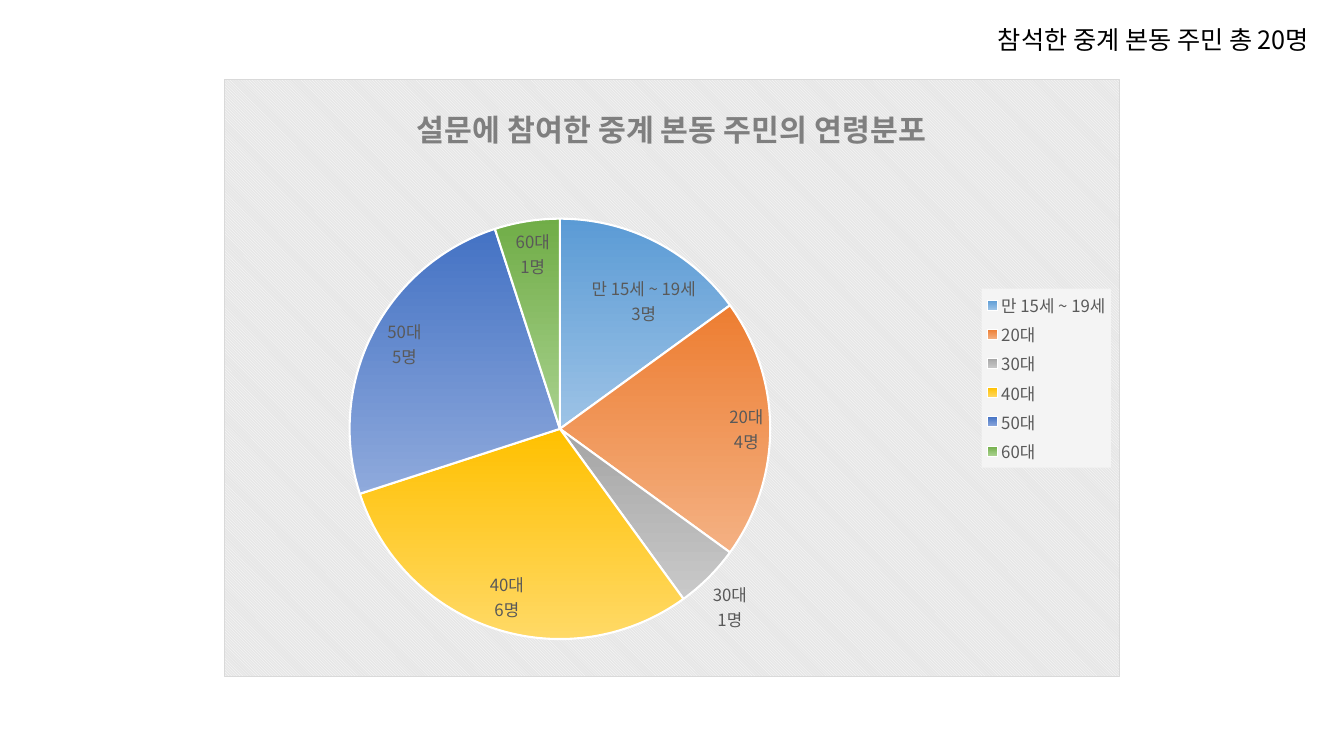
from lxml.etree import SubElement
from pptx import Presentation
from pptx.chart.data import CategoryChartData
from pptx.dml.color import RGBColor
from pptx.enum.chart import XL_CHART_TYPE, XL_LABEL_POSITION, XL_LEGEND_POSITION
from pptx.enum.text import MSO_AUTO_SIZE
from pptx.oxml import parse_xml
from pptx.oxml.ns import nsdecls, qn
from pptx.util import Cm, Pt

FONT = "Noto Sans CJK KR"
COLORS = {
    "text": "000000",
    "label": "595959",
    "title": "7F7F7F",
    "border": "D9D9D9",
    "stripe": "E6E6E6",
    "legend": "F4F4F4",
    "white": "FFFFFF",
}
AGE_GROUPS = [
    ("만 15세 ~ 19세", 3, "5B9BD5", "9DC3E6"),
    ("20대", 4, "ED7D31", "F4B183"),
    ("30대", 1, "A5A5A5", "C9C9C9"),
    ("40대", 6, "FFC000", "FFD966"),
    ("50대", 5, "4472C4", "8FAADC"),
    ("60대", 1, "70AD47", "A9D18E"),
]


def style_font(font, size, color, bold=False):
    font.size = Pt(size)
    font.bold = bold
    font.name = FONT
    font.color.rgb = RGBColor.from_string(COLORS[color])


def set_east_asian_font(element):
    for latin in list(element.iter(qn("a:latin"))):
        latin.addnext(parse_xml(f'<a:ea {nsdecls("a")} typeface="{FONT}"/>'))


def add_text(slide, text, left, top, width, height):
    box = slide.shapes.add_textbox(left, top, width, height)
    frame = box.text_frame
    frame.word_wrap = False
    frame.auto_size = MSO_AUTO_SIZE.SHAPE_TO_FIT_TEXT
    run = frame.paragraphs[0].add_run()
    run.text = text
    style_font(run.font, 18, "text")
    set_east_asian_font(box.text_frame._txBody)


def color_slices(series):
    for index, (_, _, start, end) in enumerate(AGE_GROUPS):
        slice_format = series.points[index].format
        slice_format.fill.gradient()
        slice_format.fill.gradient_angle = 270
        for stop, color in zip(slice_format.fill.gradient_stops, (start, end)):
            stop.color.rgb = RGBColor.from_string(color)
        slice_format.line.color.rgb = RGBColor.from_string(COLORS["white"])
        slice_format.line.width = Pt(1.5)


def label_slices(series):
    labels = series.data_labels
    style_font(labels.font, 12, "label")
    labels.number_format = '0"명"'
    labels.number_format_is_linked = False
    labels.show_value = True
    labels.show_category_name = True
    labels.show_percentage = False
    labels.show_legend_key = False
    labels.position = XL_LABEL_POSITION.BEST_FIT
    separator = parse_xml(f'<c:separator {nsdecls("c")}>\n</c:separator>')
    last_flag = [child for child in labels._element if child.tag.rsplit("}")[-1].startswith("show")
                 and child.tag != qn("c:showLeaderLines")][-1]
    last_flag.addnext(separator)


def add_title(chart, text):
    chart.has_title = True
    frame = chart.chart_title.text_frame
    run = frame.paragraphs[0].add_run()
    run.text = text
    style_font(run.font, 21.6, "title", bold=True)
    chart.chart_title.include_in_layout = False


def add_legend(chart):
    chart.has_legend = True
    legend = chart.legend
    legend.position = XL_LEGEND_POSITION.RIGHT
    legend.include_in_layout = False
    style_font(legend.font, 12, "label")
    legend._element.find(qn("c:txPr")).addprevious(parse_xml(
        f'<c:spPr {nsdecls("c", "a")}><a:solidFill><a:srgbClr val="{COLORS["legend"]}"/>'
        '</a:solidFill></c:spPr>'))


def fill_background(chart):
    chart.element.find(qn("c:chart")).addnext(parse_xml(
        f'<c:spPr {nsdecls("c", "a")}><a:pattFill prst="dkDnDiag">'
        f'<a:fgClr><a:srgbClr val="{COLORS["white"]}"/></a:fgClr>'
        f'<a:bgClr><a:srgbClr val="{COLORS["stripe"]}"/></a:bgClr></a:pattFill>'
        f'<a:ln w="9525"><a:solidFill><a:srgbClr val="{COLORS["border"]}"/>'
        '</a:solidFill></a:ln></c:spPr>'))


def place_plot(chart, x, y, width, height):
    plot_area = chart.element.find(qn("c:chart")).find(qn("c:plotArea"))
    layout = plot_area.find(qn("c:layout"))
    if layout is None:
        layout = parse_xml(f'<c:layout {nsdecls("c")}/>')
        plot_area.insert(0, layout)
    manual = SubElement(layout, qn("c:manualLayout"))
    settings = [("layoutTarget", "inner"), ("xMode", "edge"), ("yMode", "edge"),
                ("x", x), ("y", y), ("w", width), ("h", height)]
    for name, value in settings:
        SubElement(manual, qn(f"c:{name}")).set("val", str(value))


def add_age_chart(slide, left, top, width, height):
    data = CategoryChartData()
    data.categories = [group[0] for group in AGE_GROUPS]
    data.add_series("Series 1", [group[1] for group in AGE_GROUPS])
    chart = slide.shapes.add_chart(XL_CHART_TYPE.PIE, left, top, width, height, data).chart
    style_font(chart.font, 10, "text")
    plot = chart.plots[0]
    plot.vary_by_categories = True
    color_slices(plot.series[0])
    label_slices(plot.series[0])
    add_title(chart, "설문에 참여한 중계 본동 주민의 연령분포")
    add_legend(chart)
    fill_background(chart)
    place_plot(chart, 0.14, 0.23, 0.47, 0.71)
    set_east_asian_font(chart.element)


def main():
    presentation = Presentation()
    presentation.slide_width = Cm(33.87)
    presentation.slide_height = Cm(19.05)
    slide = presentation.slides.add_slide(presentation.slide_layouts[6])
    add_age_chart(slide, Cm(5.64), Cm(2), Cm(22.58), Cm(15.06))
    add_text(slide, "참석한 중계 본동 주민 총 20명", Cm(24.9), Cm(0.5), Cm(9.6), Cm(1.03))
    presentation.save("out.pptx")


if __name__ == "__main__":
    main()
